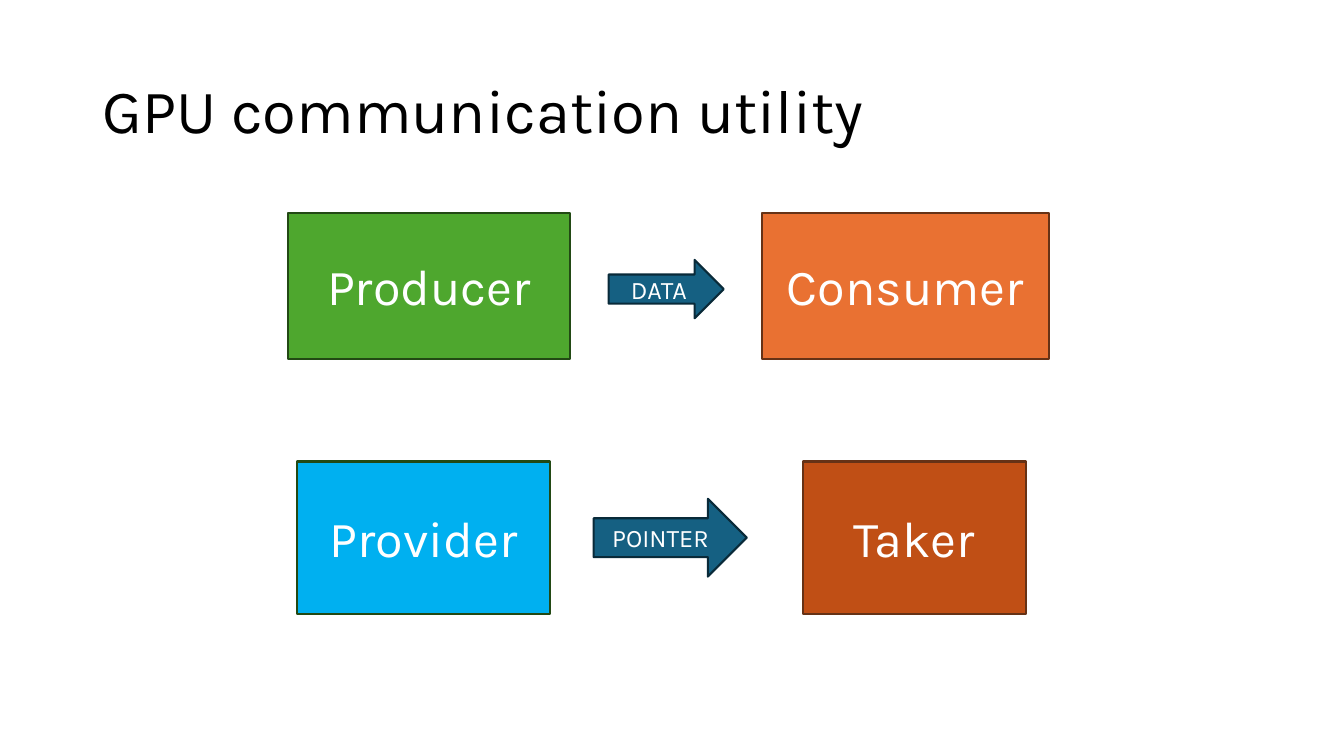
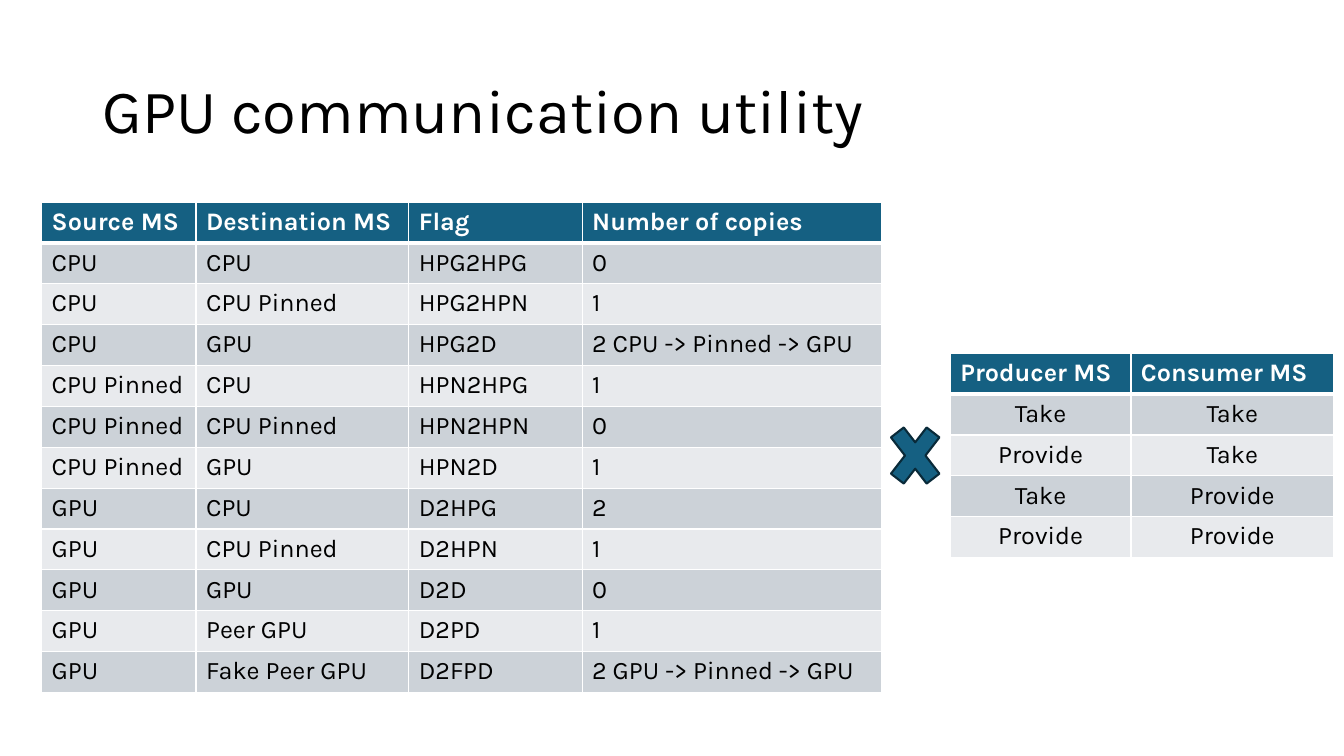
from lxml import etree
from pptx import Presentation
from pptx.dml.color import RGBColor
from pptx.enum.shapes import MSO_SHAPE
from pptx.enum.text import MSO_ANCHOR, MSO_AUTO_SIZE, PP_ALIGN
from pptx.oxml.ns import qn
from pptx.util import Cm, Pt

LEFT, CENTER = PP_ALIGN.LEFT, PP_ALIGN.CENTER
MIDDLE = MSO_ANCHOR.MIDDLE
NO_AUTOFIT = MSO_AUTO_SIZE.NONE
RECTANGLE = MSO_SHAPE.RECTANGLE
RIGHT_ARROW = MSO_SHAPE.RIGHT_ARROW
MULTIPLY = MSO_SHAPE.MATH_MULTIPLY
TITLE_ONLY_LAYOUT = 5

FONT = "Karla"
BLACK, WHITE = "000000", "FFFFFF"
BLUE, DARK_BLUE = "156082", "092A39"
GREEN_LINE, ORANGE_LINE = "224914", "663216"
STRIPES = ("CCD2D8", "E8EAED")

TITLE = "GPU communication utility"
TITLE_BOX = (2.33, 1.01, 29.21, 3.68)

# preset, text, text size, (left, top, width, height) in cm, fill, line
FLOW_SHAPES = [
    (RECTANGLE, "Provider", 36, (7.49, 11.63, 6.38, 3.84), "00B0F0", GREEN_LINE),
    (RECTANGLE, "Taker", 36, (20.24, 11.63, 5.61, 3.84), "C04F15", ORANGE_LINE),
    (RIGHT_ARROW, "POINTER", 18, (14.96, 12.57, 3.86, 1.96), BLUE, DARK_BLUE),
    (RECTANGLE, "Producer", 36, (7.26, 5.36, 7.11, 3.68), "4EA72E", GREEN_LINE),
    (RECTANGLE, "Consumer", 36, (19.2, 5.36, 7.24, 3.68), "E97132", ORANGE_LINE),
    (RIGHT_ARROW, "DATA", 18, (15.34, 6.55, 2.9, 1.47), BLUE, DARK_BLUE),
]

ROW_HEIGHT = 1.03
COPY_COLUMNS = [3.89, 5.36, 4.37, 7.54]
COPY_ROWS = [
    ("Source MS", "Destination MS", "Flag", "Number of copies"),
    ("CPU", "CPU", "HPG2HPG", "0"),
    ("CPU", "CPU Pinned", "HPG2HPN", "1"),
    ("CPU", "GPU", "HPG2D", "2 CPU -> Pinned -> GPU"),
    ("CPU Pinned", "CPU", "HPN2HPG", "1"),
    ("CPU Pinned", "CPU Pinned", "HPN2HPN", "0"),
    ("CPU Pinned", "GPU", "HPN2D", "1"),
    ("GPU", "CPU", "D2HPG", "2"),
    ("GPU", "CPU Pinned", "D2HPN", "1"),
    ("GPU", "GPU", "D2D", "0"),
    ("GPU", "Peer GPU", "D2PD", "1"),
    ("GPU", "Fake Peer GPU", "D2FPD", "2 GPU -> Pinned -> GPU"),
]
MODE_COLUMNS = [4.55, 5.11]
MODE_ROWS = [
    ("Producer MS", "Consumer MS"),
    ("Take", "Take"),
    ("Provide", "Take"),
    ("Take", "Provide"),
    ("Provide", "Provide"),
]


def color(hex_string):
    return RGBColor.from_string(hex_string)


def write_text(text_frame, text, size=18, font_color=BLACK, bold=False,
               align=LEFT, line_spacing=None):
    paragraph = text_frame.paragraphs[0]
    paragraph.alignment = align
    paragraph.line_spacing = line_spacing
    run = paragraph.add_run()
    run.text = text
    run.font.name = FONT
    run.font.size = Pt(size)
    run.font.bold = bold
    run.font.color.rgb = color(font_color)


def add_titled_slide(presentation):
    slide = presentation.slides.add_slide(presentation.slide_layouts[TITLE_ONLY_LAYOUT])
    title = slide.shapes.title
    title.left, title.top, title.width, title.height = map(Cm, TITLE_BOX)
    title.text_frame.auto_size = NO_AUTOFIT
    title.text_frame.vertical_anchor = MIDDLE
    write_text(title.text_frame, TITLE, size=44, line_spacing=0.9)
    return slide


def add_filled_shape(slide, preset, box, fill, line):
    shape = slide.shapes.add_shape(preset, *map(Cm, box))
    shape.shadow.inherit = False
    shape.fill.solid()
    shape.fill.fore_color.rgb = color(fill)
    shape.line.color.rgb = color(line)
    shape.line.width = Pt(1.5)
    return shape


def set_borders(cell, **widths):
    """Draw white borders; widths maps the side letters L, R, T, B to points."""
    properties = cell._tc.get_or_add_tcPr()
    for side, width in widths.items():
        border = etree.SubElement(properties, qn(f"a:ln{side}"), w=str(Pt(width)))
        fill = etree.SubElement(border, qn("a:solidFill"))
        etree.SubElement(fill, qn("a:srgbClr"), val=WHITE)


def add_striped_table(slide, left, top, column_widths, rows, body_align):
    frame = slide.shapes.add_table(
        len(rows), len(column_widths), Cm(left), Cm(top),
        Cm(sum(column_widths)), Cm(ROW_HEIGHT * len(rows)))
    table = frame.table
    for column, width in zip(table.columns, column_widths):
        column.width = Cm(width)
    for row_index, values in enumerate(rows):
        table.rows[row_index].height = Cm(ROW_HEIGHT)
        is_header = row_index == 0
        for column_index, value in enumerate(values):
            cell = table.cell(row_index, column_index)
            set_borders(cell, L=1, R=1, T=3 if row_index == 1 else 1,
                        B=3 if is_header else 1)
            cell.fill.solid()
            cell.fill.fore_color.rgb = color(
                BLUE if is_header else STRIPES[(row_index - 1) % 2])
            write_text(cell.text_frame, value, bold=is_header,
                       font_color=WHITE if is_header else BLACK,
                       align=LEFT if is_header else body_align)


def build_flow_slide(presentation):
    slide = add_titled_slide(presentation)
    for preset, text, size, box, fill, line in FLOW_SHAPES:
        shape = add_filled_shape(slide, preset, box, fill, line)
        shape.text_frame.word_wrap = True
        shape.text_frame.vertical_anchor = MIDDLE
        write_text(shape.text_frame, text, size=size, font_color=WHITE, align=CENTER)


def build_copies_slide(presentation):
    slide = add_titled_slide(presentation)
    add_striped_table(slide, 1.05, 5.09, COPY_COLUMNS, COPY_ROWS, LEFT)
    add_filled_shape(slide, MULTIPLY, (22.2, 10.36, 1.73, 2.24), BLUE, DARK_BLUE)
    add_striped_table(slide, 23.95, 8.9, MODE_COLUMNS, MODE_ROWS, CENTER)


def main():
    presentation = Presentation()
    presentation.slide_width, presentation.slide_height = Cm(33.87), Cm(19.05)
    build_flow_slide(presentation)
    build_copies_slide(presentation)
    presentation.save("out.pptx")


if __name__ == "__main__":
    main()
